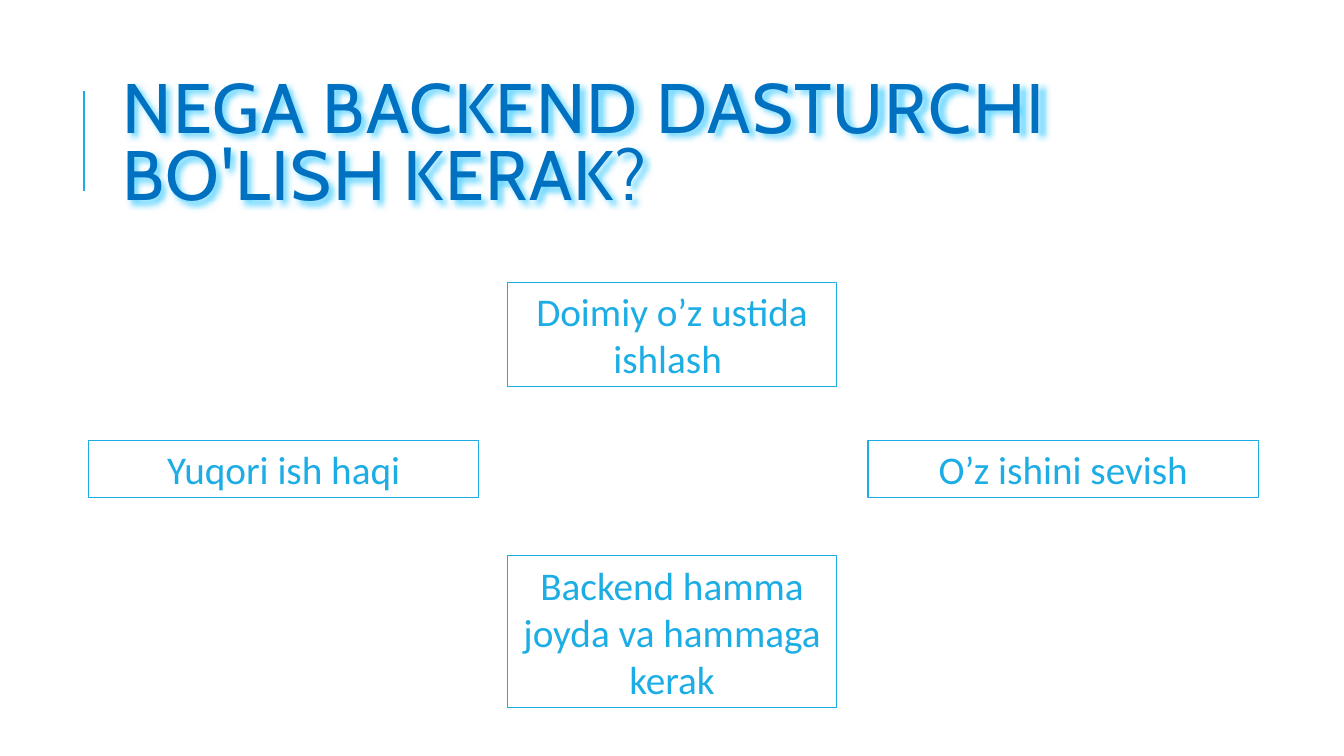
import pptx
import pptx.dml.color
import pptx.enum.shapes
import pptx.enum.text
import pptx.oxml
import pptx.oxml.ns
import pptx.util

COLUMNS = ROWS = 100
ACCENT = "1CADE4"
TITLE_BLUE = "0070C0"
GLOW = "63D5FF"


def color(hex_text):
    return pptx.dml.color.RGBColor.from_string(hex_text)


def write_text(shape, text, size, font, fill, align="LEFT", spacing=1.0, tracking=0):
    frame = shape.text_frame
    frame.word_wrap = True
    frame.vertical_anchor = pptx.enum.text.MSO_ANCHOR.MIDDLE
    para = frame.paragraphs[0]
    para.alignment = getattr(pptx.enum.text.PP_ALIGN, align)
    para.line_spacing = spacing
    span = para.add_run()
    span.text = text
    span.font.size = pptx.util.Pt(size)
    span.font.name = font
    span.font.color.rgb = color(fill)
    if tracking:
        span.font._element.set("spc", str(tracking * 100))


class SlideBuilder:
    """Hold the style and current page, placing elements on a 100 by 100 grid."""

    def __init__(self, deck):
        self.column = deck.slide_width / COLUMNS
        self.row = deck.slide_height / ROWS
        self.page = deck.slides.add_slide(deck.slide_layouts[6])

    def place(self, left, top, width, height):
        return (round(left * self.column), round(top * self.row),
                round(width * self.column), round(height * self.row))

    def rule(self, left, top, bottom):
        x, start, _, length = self.place(left, top, 0, bottom - top)
        line = self.page.shapes.add_connector(
            pptx.enum.shapes.MSO_CONNECTOR.STRAIGHT, x, start + length, x, start)
        line.line.color.rgb = color(ACCENT)
        line.line.width = pptx.util.Pt(1.5)
        line._element.spPr.append(pptx.oxml.parse_xml(
            f'<a:effectLst {pptx.oxml.ns.nsdecls("a")}/>'))

    def title(self, text, left, top, width, height):
        box = self.page.shapes.add_textbox(*self.place(left, top, width, height))
        write_text(box, text, 50, "Cabin", TITLE_BLUE, spacing=0.8, tracking=1)
        box._element.spPr.append(pptx.oxml.parse_xml(
            f'<a:effectLst {pptx.oxml.ns.nsdecls("a")}>'
            '<a:outerShdw blurRad="50800" dist="38100" dir="2700000" algn="tl" rotWithShape="0">'
            f'<a:srgbClr val="{GLOW}"/></a:outerShdw></a:effectLst>'))

    def reason(self, text, center, top, width, lines):
        height = 1.33 + 6.27 * lines
        box = self.page.shapes.add_shape(
            pptx.enum.shapes.MSO_SHAPE.RECTANGLE,
            *self.place(center - width / 2, top, width, height))
        box.shadow.inherit = False
        box.fill.background()
        box.line.color.rgb = color(ACCENT)
        box.line.width = pptx.util.Pt(0.75)
        write_text(box, text, 28, "Calibri", ACCENT, align="CENTER")


def main():
    deck = pptx.Presentation()
    deck.slide_width = pptx.util.Inches(13.33)
    deck.slide_height = pptx.util.Inches(7.5)
    builder = SlideBuilder(deck)
    builder.rule(6.25, 12, 25.33)
    builder.title("NEGA BACKEND DASTURCHI BO'LISH KERAK?", 8.4, 8.53, 79.74, 21.87)
    side, middle = 29.03, 24.53
    for text, center, top, width, lines in (
        ("Yuqori ish haqi", 21.1, 58.27, side, 1),
        ("O’z ishini sevish", 79.1, 58.27, side, 1),
        ("Doimiy o’z ustida ishlash ", 50, 37.33, middle, 2),
        ("Backend hamma joyda va hammaga kerak", 50, 73.47, middle, 3),
    ):
        builder.reason(text, center, top, width, lines)
    deck.save("out.pptx")


if __name__ == "__main__":
    main()
